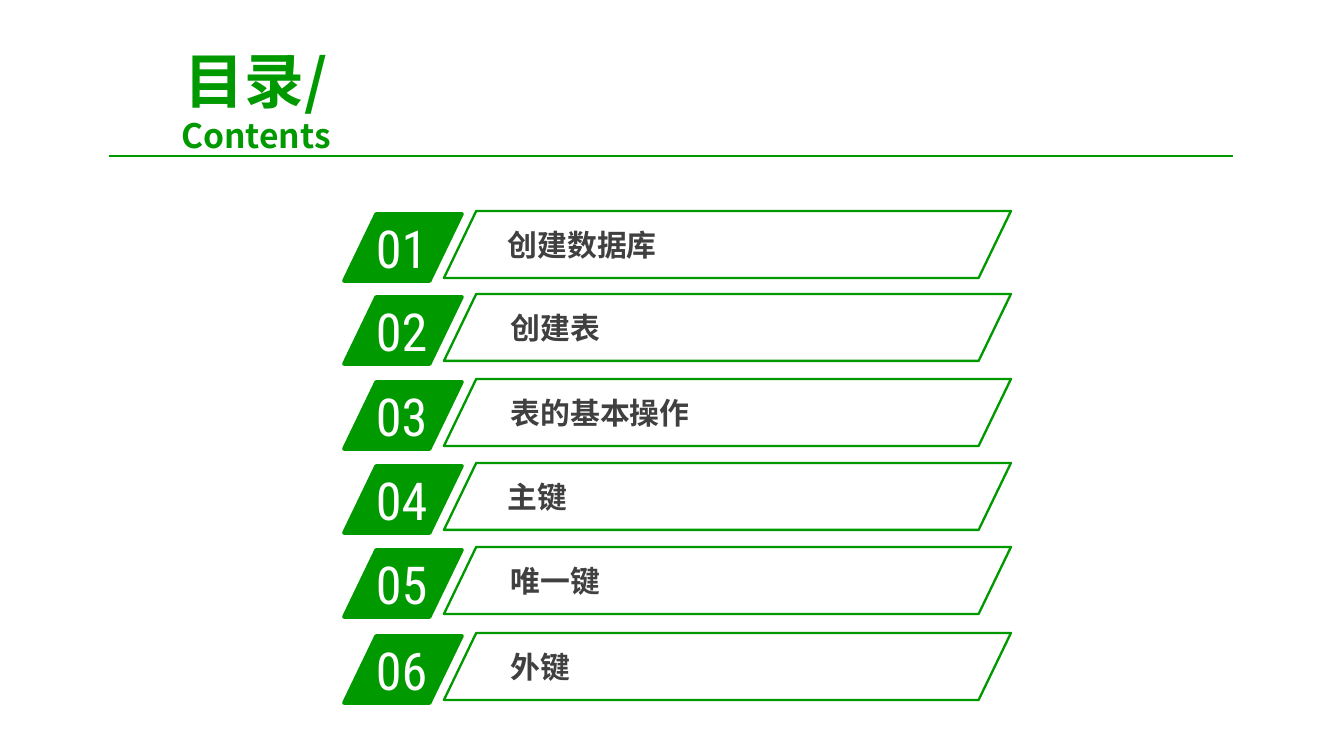
from dataclasses import dataclass

from pptx import Presentation
from pptx.dml.color import RGBColor
from pptx.enum.shapes import MSO_CONNECTOR as Connector, MSO_SHAPE as Preset
from pptx.enum.text import MSO_ANCHOR as Anchor, MSO_AUTO_SIZE as AutoSize, PP_ALIGN as Align
from pptx.oxml import parse_xml
from pptx.oxml.ns import nsdecls, qn
from pptx.util import Emu, Pt

SCALE = 914400 / 134.4


@dataclass(frozen=True)
class Theme:
    """Colours, fonts and type sizes of the deck."""
    green: str = "009900"
    ink: str = "404040"
    white: str = "FFFFFF"
    body_font: str = "Noto Sans CJK SC"
    number_font: str = "Roboto Condensed"
    title_size: int = 32
    subtitle_size: int = 18
    number_size: int = 28
    label_size: int = 16


THEME = Theme()


def px(*lengths):
    """Turn pixel lengths into EMU."""
    return [Emu(round(length * SCALE)) for length in lengths]


def add_span(para, text, size, font, color, bold=False):
    """Append one formatted run to a paragraph."""
    span = para.add_run()
    span.text = text
    span.font.size, span.font.name, span.font.bold = Pt(size), font, bold
    span.font.color.rgb = RGBColor.from_string(color)
    east_asian = parse_xml(f'<a:ea {nsdecls("a")} typeface="{font}"/>')
    span.font._element.find(qn("a:latin")).addnext(east_asian)


def add_text(shapes, box, *lines, align=Align.LEFT, anchor=Anchor.TOP,
             insets=(13, 7), grow=False):
    """Add a text box; each line is a dict of add_span arguments."""
    frame = shapes.add_textbox(*px(*box)).text_frame
    frame.word_wrap = True
    frame.auto_size = AutoSize.SHAPE_TO_FIT_TEXT if grow else AutoSize.NONE
    frame.vertical_anchor = anchor
    frame.margin_left = frame.margin_right = px(insets[0])[0]
    frame.margin_top = frame.margin_bottom = px(insets[1])[0]
    para = frame.paragraphs[0]
    para.alignment = align
    for index, line in enumerate(lines):
        if index:
            para.add_line_break()
        add_span(para, **line)


def add_slant(shapes, box, line_width, fill=None):
    """Add a parallelogram with a green outline."""
    slant = shapes.add_shape(Preset.PARALLELOGRAM, *px(*box))
    slant.adjustments[0] = 0.482
    slant.shadow.inherit = False
    slant.line.color.rgb = RGBColor.from_string(THEME.green)
    slant.line.width = Pt(line_width)
    if fill:
        slant.fill.solid()
        slant.fill.fore_color.rgb = RGBColor.from_string(fill)
    else:
        slant.fill.background()


def add_header(page, box):
    """Place the two-line title and the rule below it."""
    left, top, width, height = box
    style = dict(font=THEME.body_font, color=THEME.green, bold=True)
    add_text(page.shapes, (left - 19, top, 332, 73),
             dict(text="目录/", size=THEME.title_size, **style),
             dict(text="Contents", size=THEME.subtitle_size, **style),
             align=Align.CENTER, anchor=Anchor.MIDDLE)
    bottom = top + height
    rule = page.shapes.add_connector(
        Connector.STRAIGHT, *px(left, bottom, left + width, bottom))
    rule.line.color.rgb = RGBColor.from_string(THEME.green)
    rule.line.width = Pt(0.75)
    rule._element.spPr.append(parse_xml(f'<a:effectLst {nsdecls("a")}/>'))


def add_entry(page, box, number, label, indent):
    """Place one contents row: numbered badge and outlined label."""
    left, top, width, height = box
    badge = page.shapes.add_group_shape().shapes
    add_slant(badge, (left, top + 3, 118, height), 2, THEME.green)
    add_text(badge, (left + 19, top - 2, 113, 76),
             dict(text=f"{number:02d}", size=THEME.number_size,
                  font=THEME.number_font, color=THEME.white), grow=True)
    bar = page.shapes.add_group_shape().shapes
    add_text(bar, (left + indent, top + 11, 450, 47),
             dict(text=label, size=THEME.label_size, font=THEME.body_font,
                  color=THEME.ink, bold=True), insets=(9, 5), grow=True)
    add_slant(bar, (left + 100, top, width - 100, height), 1.25)


def add_contents(page, box, entries):
    """Stack the contents rows inside the box."""
    left, top, width, row_height = box
    for number, (offset, label, indent) in enumerate(entries, 1):
        add_entry(page, (left, top + offset, width, row_height),
                  number, label, indent)


ENTRIES = [
    (0, "创建数据库", 155),
    (83, "创建表", 158),
    (168, "表的基本操作", 158),
    (252, "主键", 155),
    (336, "唯一键", 158),
    (422, "外键", 158),
]

deck = Presentation()
deck.slide_width, deck.slide_height = px(1344, 756)
page = deck.slides.add_slide(deck.slide_layouts[6])
add_header(page, (109, 63, 1124, 93))
add_contents(page, (344, 211, 667, 67), ENTRIES)
deck.save("out.pptx")
